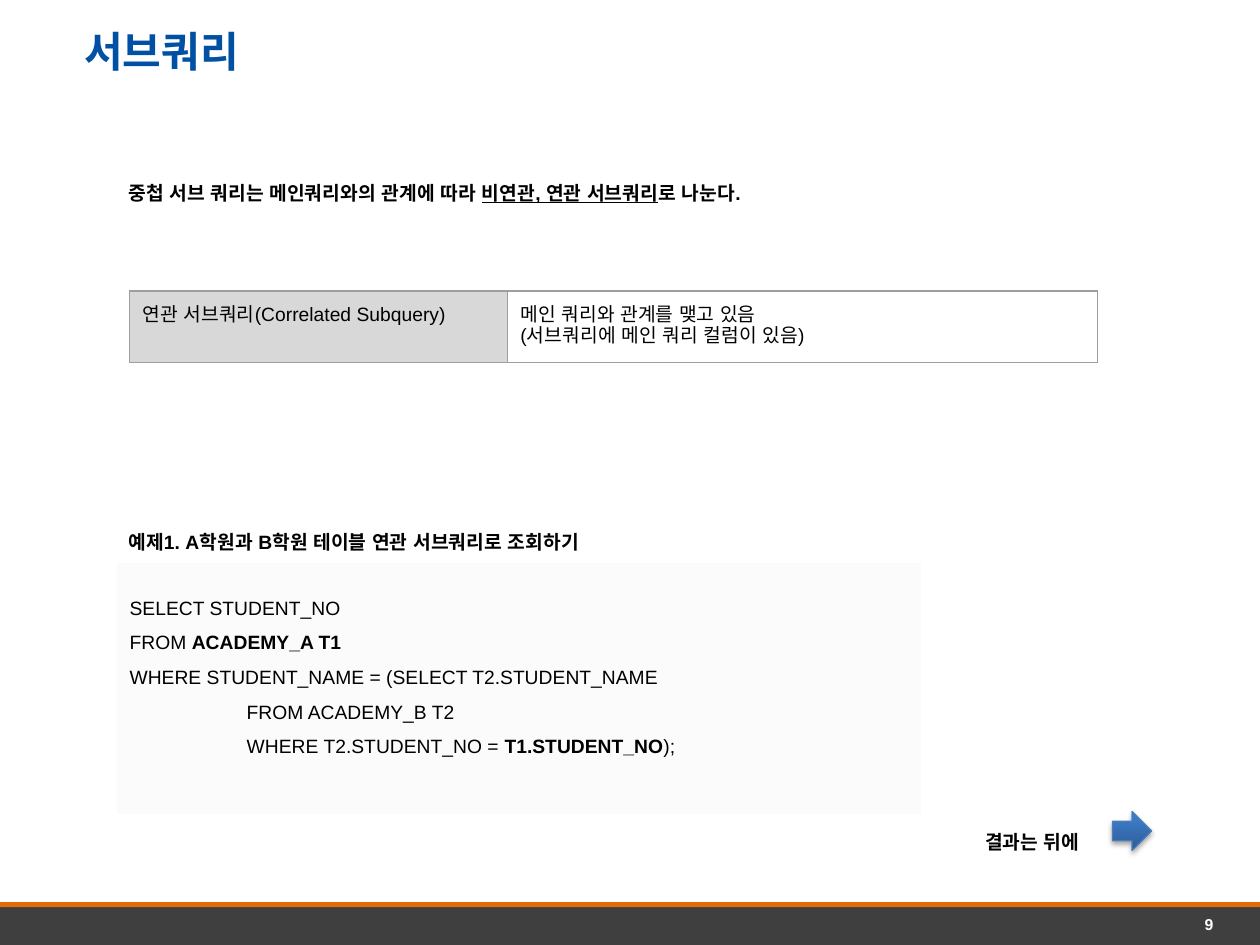
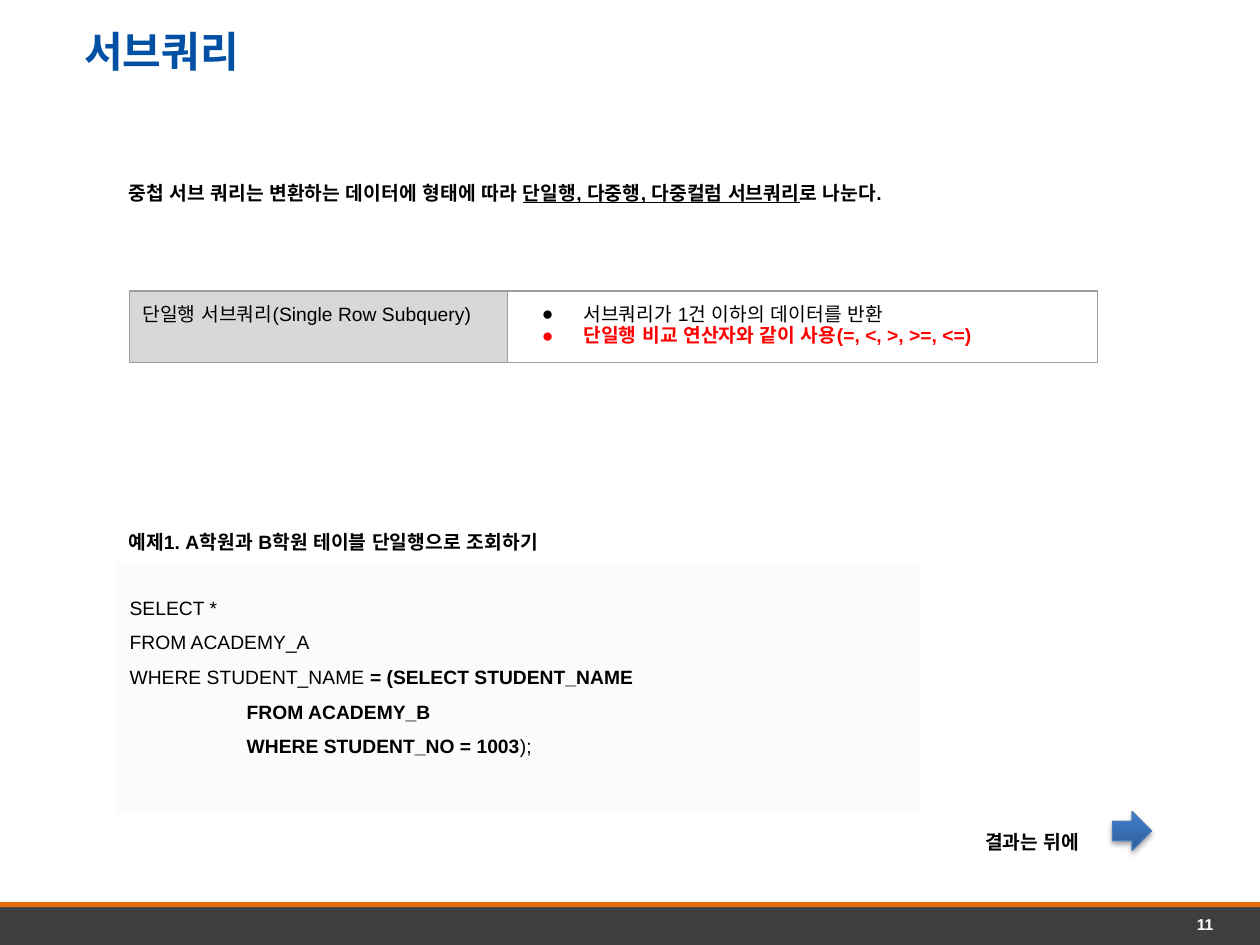
from dataclasses import dataclass

from lxml import etree
from pptx import Presentation
from pptx import util as u
from pptx.dml.color import RGBColor
from pptx.enum import shapes, text
from pptx.oxml.ns import qn


@dataclass(frozen=True)
class Theme:
    font: str = "Arial"
    title_size: int = 24
    body_size: int = 11
    number_size: int = 9
    hairline: float = 0.75
    line_spacing: float = 1.5
    black: str = "000000"
    white: str = "FFFFFF"
    red: str = "FF0000"
    title: str = "0050A4"
    band: str = "3F3F3F"
    stripe: str = "E36C09"
    label: str = "D8D8D8"
    border: str = "9E9E9E"
    code: str = "FBFBFB"
    arrow_line: str = "4A7DBA"
    arrow_stops: tuple = ((0, "2D5C97"), (80, "3C7AC5"), (100, "397BC9"))


THEME = Theme()


@dataclass(frozen=True)
class Box:
    left: float
    top: float
    width: float
    height: float

    def inches(self):
        return [u.Inches(v) for v in (self.left, self.top, self.width, self.height)]


@dataclass(frozen=True)
class Span:
    words: str
    bold: bool = False
    underline: bool = False
    color: str = THEME.black


@dataclass(frozen=True)
class Para:
    spans: tuple
    indent: float = 0
    bullet: str = ""


def line(*spans, indent=0, bullet=""):
    parts = tuple(s if isinstance(s, Span) else Span(s) for s in spans)
    return Para(parts, indent, bullet)


def bold(words, **style):
    return Span(words, bold=True, **style)


def add_xml(parent, tag, **attributes):
    return etree.SubElement(parent, qn(tag), {k: str(v) for k, v in attributes.items()})


def write_text(frame, paras, size=THEME.body_size, spacing=None, align=None,
               anchor=text.MSO_ANCHOR.TOP, inset=(0.1, 0.05, 0.1, 0.05), grow=False):
    frame.word_wrap = True
    frame.vertical_anchor = anchor
    frame.margin_left, frame.margin_top, frame.margin_right, frame.margin_bottom = map(u.Inches, inset)
    if grow:
        frame.auto_size = text.MSO_AUTO_SIZE.SHAPE_TO_FIT_TEXT
    for index, item in enumerate(paras):
        para = frame.add_paragraph() if index else frame.paragraphs[0]
        para.alignment = align or text.PP_ALIGN.LEFT
        if spacing:
            para.line_spacing = spacing
        properties = para._p.get_or_add_pPr()
        if item.indent:
            properties.set("marL", str(u.Inches(item.indent)))
            properties.set("indent", "0")
        if item.bullet:
            properties.set("indent", str(u.Inches(-0.33)))
            add_xml(add_xml(properties, "a:buClr"), "a:srgbClr", val=item.spans[0].color)
            add_xml(properties, "a:buFont", typeface=THEME.font)
            add_xml(properties, "a:buChar", char=item.bullet)
        for span in item.spans:
            run = para.add_run()
            run.text = span.words
            run.font.size = u.Pt(size)
            run.font.bold = span.bold
            run.font.underline = span.underline
            run.font.color.rgb = RGBColor.from_string(span.color)
            run.font.name = THEME.font
            for tag in ("a:ea", "a:cs"):
                add_xml(run._r.get_or_add_rPr(), tag, typeface=THEME.font)


def add_text(page, box, *paras, **style):
    frame = page.shapes.add_textbox(*box.inches()).text_frame
    write_text(frame, paras, grow=True, **style)


def add_rect(page, box, color):
    rect = page.shapes.add_shape(shapes.MSO_SHAPE.RECTANGLE, *box.inches())
    rect.shadow.inherit = False
    rect.fill.solid()
    rect.fill.fore_color.rgb = RGBColor.from_string(color)
    rect.line.fill.background()
    return rect


def add_footer(page, box, number):
    add_rect(page, Box(box.left, box.top + 0.03, box.width, box.height - 0.03), THEME.band)
    add_rect(page, Box(box.left, box.top, box.width, 0.04), THEME.stripe)
    add_text(page, Box(box.left + 6.98, box.top + 0.1, 2.65, 0.15),
             line(bold(str(number), color=THEME.white)), size=THEME.number_size,
             align=text.PP_ALIGN.RIGHT, inset=(0, 0, 0, 0))


def add_title(page, box, words):
    add_text(page, box, line(bold(words, color=THEME.title)),
             size=THEME.title_size, inset=(0.67, 0.2, 0.1, 0.05))


def add_definition(page, box, term, meaning):
    table = page.shapes.add_table(1, 2, *box.inches()).table
    table.first_row = table.horz_banding = False
    table.columns[0].width = u.Inches(3)
    table.columns[1].width = u.Inches(box.width - 3)
    for cell, paras in zip(table.rows[0].cells, ([line(term)], meaning)):
        write_text(cell.text_frame, paras)
        cell.margin_left = cell.margin_right = cell.margin_top = cell.margin_bottom = u.Inches(0.1)
        properties = cell._tc.get_or_add_tcPr()
        for tag in ("a:lnL", "a:lnR", "a:lnT", "a:lnB"):
            edge = add_xml(properties, tag, w=u.Pt(THEME.hairline))
            add_xml(add_xml(edge, "a:solidFill"), "a:srgbClr", val=THEME.border)
        cell.fill.background()
    label = table.cell(0, 0)
    label.fill.solid()
    label.fill.fore_color.rgb = RGBColor.from_string(THEME.label)


def add_example(page, box, heading, code):
    add_text(page, Box(box.left, box.top, 6.3, 0.29), line(bold(heading)),
             spacing=THEME.line_spacing)
    panel = add_rect(page, Box(box.left + 0.01, box.top + 0.4, box.width - 0.01, box.height - 0.4),
                     THEME.code)
    write_text(panel.text_frame, code, spacing=THEME.line_spacing,
               anchor=text.MSO_ANCHOR.MIDDLE, inset=(0.1, 0.05, 0.1, 0.33))


def add_next_hint(page, box, words):
    add_text(page, Box(box.left, box.top + 0.01, 1.11, 0.29), line(bold(words)),
             spacing=THEME.line_spacing)
    side = box.height
    arrow = page.shapes.add_shape(
        shapes.MSO_SHAPE.RIGHT_ARROW, *Box(box.left + box.width - side, box.top, side, side).inches())
    arrow.line.color.rgb = RGBColor.from_string(THEME.arrow_line)
    arrow.line.width = u.Pt(THEME.hairline)
    arrow.fill.gradient()
    arrow.fill.gradient_angle = 90
    arrow.shadow.inherit = False
    properties = arrow._element.spPr
    stops = properties.find(qn("a:gradFill")).find(qn("a:gsLst"))
    for stop in list(stops):
        stops.remove(stop)
    for percent, color in THEME.arrow_stops:
        add_xml(add_xml(stops, "a:gs", pos=percent * 1000), "a:srgbClr", val=color)
    shadow = add_xml(properties.find(qn("a:effectLst")), "a:outerShdw", blurRad=u.Pt(3.1),
                     dist=u.Pt(1.8), dir=90 * 60000, rotWithShape=0)
    add_xml(add_xml(shadow, "a:srgbClr", val=THEME.black), "a:alpha", val=35000)


def add_subquery_page(deck, number, intro, term, meaning, heading, code):
    page = deck.slides.add_slide(deck.slide_layouts[6])
    add_footer(page, Box(0, 7.16, 10, 0.34), number)
    add_title(page, Box(0, 0, 10, 0.65), "서브쿼리")
    add_text(page, Box(0.92, 1.3, 6.85, 0.29), intro, spacing=THEME.line_spacing)
    add_definition(page, Box(1.03, 2.31, 7.68, 0.57), term, meaning)
    add_example(page, Box(0.92, 4.07, 6.39, 2.39), heading, code)
    add_next_hint(page, Box(7.72, 6.44, 1.42, 0.31), "결과는 뒤에")


def intro_line(lead, kinds):
    return line(bold(lead), bold(kinds, underline=True), bold("로 나눈다."))


def main():
    deck = Presentation()
    deck.slide_width, deck.slide_height = u.Inches(10), u.Inches(7.5)
    nested = 0.93
    add_subquery_page(
        deck, 9,
        intro_line("중첩 서브 쿼리는 메인쿼리와의 관계에 따라 ", "비연관, 연관 서브쿼리"),
        "연관 서브쿼리(Correlated Subquery)",
        [line("메인 쿼리와 관계를 맺고 있음"), line("(서브쿼리에 메인 쿼리 컬럼이 있음)")],
        "예제1. A학원과 B학원 테이블 연관 서브쿼리로 조회하기",
        [line("SELECT STUDENT_NO"),
         line("FROM ", bold("ACADEMY_A T1")),
         line("WHERE STUDENT_NAME = (SELECT T2.STUDENT_NAME"),
         line("FROM ACADEMY_B T2", indent=nested),
         line("WHERE T2.STUDENT_NO = ", bold("T1.STUDENT_NO"), ");", indent=nested)])
    add_subquery_page(
        deck, 11,
        intro_line("중첩 서브 쿼리는 변환하는 데이터에 형태에 따라 ", "단일행, 다중행, 다중컬럼 서브쿼리"),
        "단일행 서브쿼리(Single Row Subquery)",
        [line("서브쿼리가 1건 이하의 데이터를 반환", indent=0.5, bullet="●"),
         line(bold("단일행 비교 연산자와 같이 사용(=, <, >, >=, <=)", color=THEME.red),
              indent=0.5, bullet="●")],
        "예제1. A학원과 B학원 테이블 단일행으로 조회하기",
        [line("SELECT *"),
         line("FROM ACADEMY_A"),
         line("WHERE STUDENT_NAME ", bold("= (SELECT STUDENT_NAME")),
         line(bold("FROM ACADEMY_B"), indent=nested),
         line(bold("WHERE STUDENT_NO = 1003"), ");", indent=nested)])
    deck.save("out.pptx")


if __name__ == "__main__":
    main()
